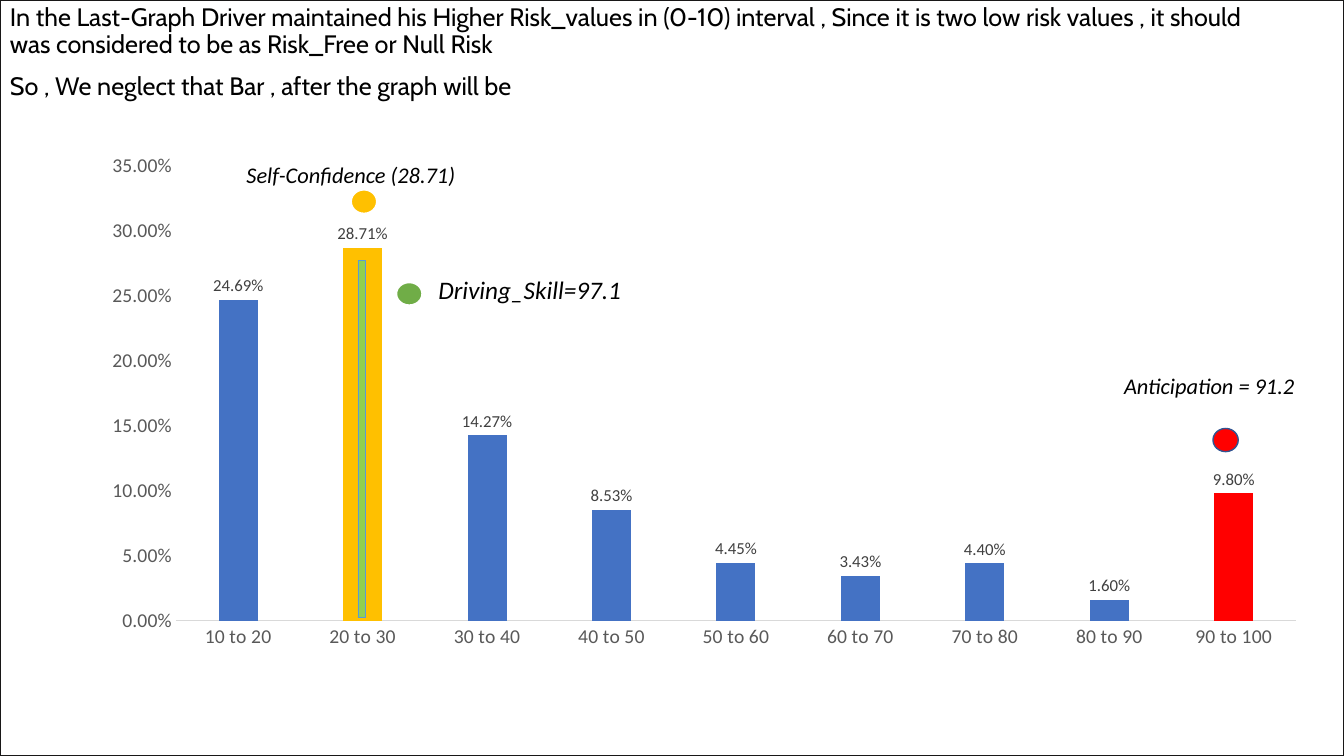
from lxml.etree import SubElement
from pptx import Presentation
from pptx.chart.data import CategoryChartData
from pptx.dml.color import RGBColor
from pptx.enum.chart import XL_CHART_TYPE, XL_LABEL_POSITION, XL_TICK_MARK
from pptx.enum.shapes import MSO_SHAPE
from pptx.enum.text import MSO_ANCHOR, PP_ALIGN
from pptx.oxml.ns import qn
from pptx.util import Inches, Pt

BLACK = RGBColor(0x00, 0x00, 0x00)
WHITE = RGBColor(0xFF, 0xFF, 0xFF)
FRAME = RGBColor(0x18, 0x17, 0x17)
AXIS_TEXT = RGBColor(0x59, 0x59, 0x59)
AXIS_LINE = RGBColor(0xD9, 0xD9, 0xD9)
LABEL_TEXT = RGBColor(0x40, 0x40, 0x40)
BLUE = RGBColor(0x44, 0x72, 0xC4)
LIGHT_BLUE = RGBColor(0x5B, 0x9B, 0xD5)
DARK_BLUE = RGBColor(0x32, 0x54, 0x91)
GOLD = RGBColor(0xFF, 0xC0, 0x00)
RED = RGBColor(0xFF, 0x00, 0x00)
GREEN = RGBColor(0x70, 0xAD, 0x47)
LIME = RGBColor(0x92, 0xD0, 0x50)


class RiskSlide:
    """Holds the style and the slide; boxes are percentages of the slide's size."""

    heading_font = "Cabin"
    body_font = "Calibri"
    percent_format = "0.00%"

    def __init__(self, presentation):
        self.width = presentation.slide_width
        self.height = presentation.slide_height
        self.slide = presentation.slides.add_slide(presentation.slide_layouts[6])

    def place(self, left, top, width, height):
        return (int(self.width * left / 100), int(self.height * top / 100),
                int(self.width * width / 100), int(self.height * height / 100))

    def style(self, font, size, color, name=None):
        font.size = Pt(size)
        font.name = name or self.body_font
        font.color.rgb = color

    def text(self, box, lines, size, name=None, italic=False,
             align=PP_ALIGN.LEFT, line_spacing=None, space_before=0):
        frame = self.slide.shapes.add_textbox(*self.place(*box)).text_frame
        frame.word_wrap = True
        frame.vertical_anchor = MSO_ANCHOR.TOP
        frame.text = "\n".join(lines)
        for paragraph in frame.paragraphs:
            self.style(paragraph.font, size, BLACK, name)
            paragraph.font.italic = italic
            paragraph.alignment = align
            paragraph.line_spacing = line_spacing
            paragraph.space_before = Pt(space_before)

    def shape(self, kind, box, fill, line, line_width):
        shape = self.slide.shapes.add_shape(kind, *self.place(*box))
        shape.shadow.inherit = False
        if fill is None:
            shape.fill.background()
        else:
            shape.fill.solid()
            shape.fill.fore_color.rgb = fill
        shape.line.color.rgb = line
        shape.line.width = Pt(line_width)

    def axis(self, axis):
        axis.has_major_gridlines = False
        axis.major_tick_mark = axis.minor_tick_mark = XL_TICK_MARK.NONE
        self.style(axis.tick_labels.font, 14, AXIS_TEXT)

    def column_chart(self, box, shares, highlights, plot_area):
        data = CategoryChartData(number_format=self.percent_format)
        data.categories = list(shares)
        data.add_series("Series 1", list(shares.values()))
        chart = self.slide.shapes.add_chart(
            XL_CHART_TYPE.COLUMN_CLUSTERED, *self.place(*box), data).chart
        chart.has_legend = chart.has_title = False
        self.style(chart.font, 10, BLACK)

        # Axes
        self.axis(chart.category_axis)
        chart.category_axis.format.line.color.rgb = AXIS_LINE
        chart.category_axis.format.line.width = Pt(0.75)
        values = chart.value_axis
        self.axis(values)
        values.format.line.fill.background()
        values.minimum_scale, values.maximum_scale, values.major_unit = 0, 0.35, 0.05
        values.tick_labels.number_format = self.percent_format
        values.tick_labels.number_format_is_linked = False

        # Columns
        plot = chart.plots[0]
        plot.gap_width, plot.overlap = 219, -27
        plot.vary_by_categories = False
        series = plot.series[0]
        series.invert_if_negative = False
        series.format.fill.solid()
        series.format.fill.fore_color.rgb = BLUE
        for category, color in highlights.items():
            fill = series.points[list(shares).index(category)].format.fill
            fill.solid()
            fill.fore_color.rgb = color

        # Value labels
        labels = series.data_labels
        labels.show_value = True
        labels.position = XL_LABEL_POSITION.OUTSIDE_END
        labels.number_format = self.percent_format
        labels.number_format_is_linked = False
        self.style(labels.font, 12, LABEL_TEXT)
        self.plot_layout(chart, plot_area)

    def plot_layout(self, chart, plot_area):
        area = chart.element.chart.plotArea
        for layout in area.findall(qn("c:layout")):
            area.remove(layout)
        layout = SubElement(area, qn("c:layout"))
        area.insert(0, layout)
        manual = SubElement(layout, qn("c:manualLayout"))
        settings = {"layoutTarget": "inner", "xMode": "edge", "yMode": "edge",
                    **dict(zip("xywh", plot_area))}
        for tag, value in settings.items():
            SubElement(manual, qn(f"c:{tag}")).set("val", str(value))


def main():
    presentation = Presentation()
    presentation.slide_width = Inches(13.33)
    presentation.slide_height = Inches(7.5)
    slide = RiskSlide(presentation)

    # Introduction
    slide.text((0, 0, 96.45, 44.13), [
        "In the Last-Graph Driver maintained his Higher Risk_values in (0-10) interval , "
        "Since it is two low risk values , it should was considered to be as "
        "Risk_Free or Null Risk",
        "So , We neglect that Bar , after the graph will be",
    ], 18, name=slide.heading_font, line_spacing=0.9, space_before=10)

    # Risk distribution
    risk_shares = {
        "10 to 20": 0.2469, "20 to 30": 0.2871, "30 to 40": 0.1427,
        "40 to 50": 0.0853, "50 to 60": 0.0445, "60 to 70": 0.0343,
        "70 to 80": 0.044, "80 to 90": 0.016, "90 to 100": 0.098,
    }
    slide.column_chart((5.55, 19.07, 90.92, 68.67), risk_shares,
                       {"20 to 30": GOLD, "90 to 100": RED},
                       (0.083, 0.042, 0.917, 0.876))

    # Driving skill bar inside the gold column
    slide.shape(MSO_SHAPE.RECTANGLE, (26.63, 34.4, 0.53, 47.33), LIME, LIGHT_BLUE, 0.5)

    # Markers
    for box, fill, line, line_width in (
        ((29.48, 37.33, 1.95, 3.07), GREEN, WHITE, 1.5),
        ((90.25, 56.67, 1.88, 3.07), RED, DARK_BLUE, 1),
        ((26.11, 25.07, 1.95, 3.2), GOLD, WHITE, 1.5),
    ):
        slide.shape(MSO_SHAPE.FLOWCHART_CONNECTOR, box, fill, line, line_width)

    # Captions of the markers
    for box, caption, size, align in (
        ((17.33, 20.67, 17.55, 12.13), "Self-Confidence (28.71)", 16, PP_ALIGN.CENTER),
        ((82.9, 48.53, 15.75, 4.93), "Anticipation = 91.2", 16, PP_ALIGN.LEFT),
        ((31.88, 35.6, 22.88, 5.33), "Driving_Skill=97.1", 18, PP_ALIGN.LEFT),
    ):
        slide.text(box, [caption], size, italic=True, align=align)

    # Slide frame
    slide.shape(MSO_SHAPE.RECTANGLE, (0, 0, 100, 100), None, FRAME, 1)

    presentation.save("out.pptx")


if __name__ == "__main__":
    main()
